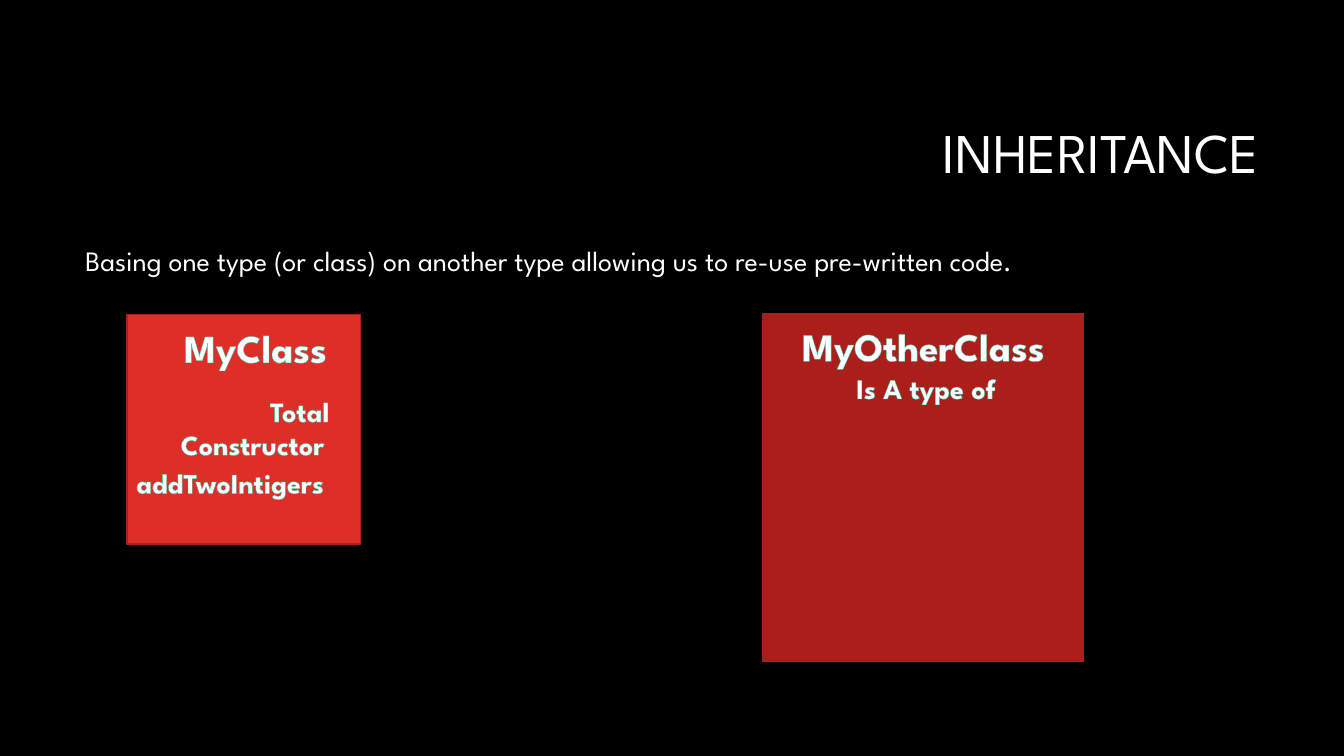
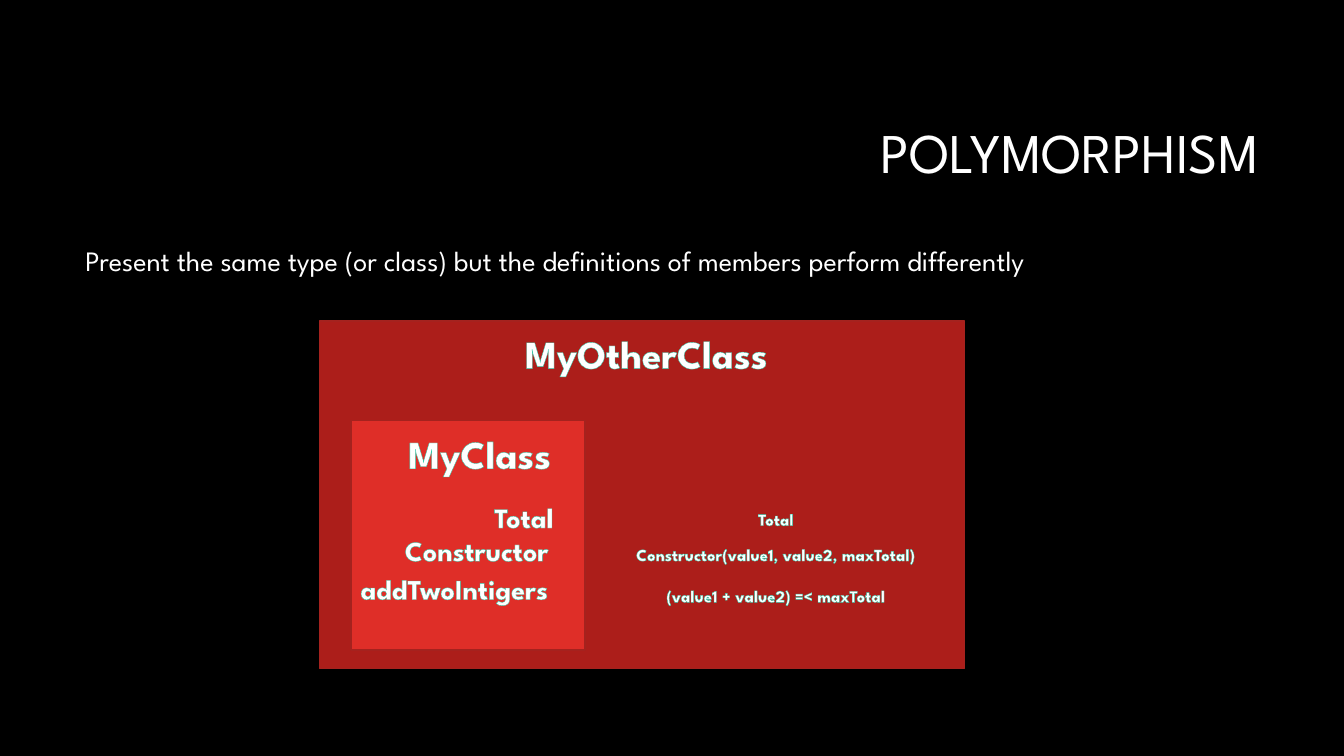
import lxml.etree
import pptx
import pptx.dml.color
import pptx.enum.shapes
import pptx.enum.text
import pptx.oxml.ns
import pptx.util

Pt = pptx.util.Pt
ALIGN = pptx.enum.text.PP_ALIGN
ANCHOR = pptx.enum.text.MSO_ANCHOR
FONT = "League Spartan"
COLORS = {
    "background": "000000",
    "text": "FFFFFF",
    "base": "DF2E28",
    "derived": "AC1E1A",
    "border": "A5221E",
    "outline": "32C7A9",
}
BASE_SIZE = (167, 164)
NAME_SIZE, MEMBER_SIZE, DETAIL_SIZE = 28, 20, 12
LABEL_HEIGHTS = {NAME_SIZE: 41.2, MEMBER_SIZE: 31.5, DETAIL_SIZE: 21.8}


def rgb(name):
    """Return the palette colour with this name."""
    return pptx.dml.color.RGBColor.from_string(COLORS[name])


def add_text(shapes, box, text, size, align=ALIGN.LEFT, anchor=ANCHOR.TOP):
    """Add a one-paragraph text box and return it."""
    shape = shapes.add_textbox(*map(Pt, box))
    frame = shape.text_frame
    frame.word_wrap = True
    frame.vertical_anchor = anchor
    paragraph = frame.paragraphs[0]
    paragraph.text = text
    paragraph.alignment = align
    paragraph.font.name = FONT
    paragraph.font.size = Pt(size)
    paragraph.font.color.rgb = rgb("text")
    return shape


def add_label(shapes, left, top, width, text, size):
    """Add a bold, centred label with outlined letters."""
    box = (left, top, width, LABEL_HEIGHTS[size])
    shape = add_text(shapes, box, text, size, ALIGN.CENTER)
    shape.text_frame.auto_size = pptx.enum.text.MSO_AUTO_SIZE.SHAPE_TO_FIT_TEXT
    paragraph = shape.text_frame.paragraphs[0]
    paragraph.font.bold = True
    qn = pptx.oxml.ns.qn
    properties = paragraph.runs[0].font._element
    line = lxml.etree.Element(qn("a:ln"), w=str(Pt(0.8)))
    fill = lxml.etree.SubElement(line, qn("a:solidFill"))
    lxml.etree.SubElement(fill, qn("a:srgbClr"), val=COLORS["outline"])
    properties.insert(0, line)


def add_panel(shapes, box, color):
    """Add a filled rectangle with a thin border."""
    shape = shapes.add_shape(pptx.enum.shapes.MSO_SHAPE.RECTANGLE, *map(Pt, box))
    shape.shadow.inherit = False
    shape.fill.solid()
    shape.fill.fore_color.rgb = rgb(color)
    shape.line.color.rgb = rgb("border")
    shape.line.width = Pt(1)


def add_base_class(slide, left, top):
    """Add the grouped base class with its members."""
    shapes = slide.shapes.add_group_shape().shapes
    add_panel(shapes, (left, top, *BASE_SIZE), "base")
    for x, y, width, text, size in (
        (24.5, 3, 134.5, "MyClass", NAME_SIZE),
        (90.3, 53.3, 66.2, "Total", MEMBER_SIZE),
        (20.2, 77, 139, "Constructor", MEMBER_SIZE),
        (-12.2, 104.4, 172, "addTwoIntigers", MEMBER_SIZE),
    ):
        add_label(shapes, left + x, top + y, width, text, size)


def add_derived_class(slide, box, name_shift=0):
    """Add the derived class panel with its name near the top centre."""
    left, top, width, height = box
    name_width = 210
    add_panel(slide.shapes, box, "derived")
    name_left = left + (width - name_width) / 2 + name_shift
    add_label(slide.shapes, name_left, top + 2.5, name_width, "MyOtherClass", NAME_SIZE)


def add_topic_slide(presentation, title, definition):
    """Add a slide with its title and definition."""
    slide = presentation.slides.add_slide(presentation.slide_layouts[6])
    title_box = (228.2, 60.5, 678.2, 101.5)
    heading = add_text(slide.shapes, title_box, title, 40, ALIGN.RIGHT, ANCHOR.MIDDLE)
    body = add_text(slide.shapes, (54, 172.8, 851.8, 40), definition, 20)
    for shape in (heading, body):
        shape.text_frame.paragraphs[0].line_spacing = 0.9
    return slide


def add_inheritance(presentation):
    """Build the slide with the two classes side by side."""
    slide = add_topic_slide(
        presentation,
        "INHERITANCE",
        "Basing one type (or class) on another type allowing us to re-use pre-written code.",
    )
    left, top = 545, 224
    add_derived_class(slide, (left, top, 229, 248.4))
    add_base_class(slide, 90.7, 224.6)
    add_label(slide.shapes, left + 11.5, top + 37.4, 210, "Is A type of", MEMBER_SIZE)


def add_polymorphism(presentation):
    """Build the slide with the base class inside the derived class."""
    slide = add_topic_slide(
        presentation,
        "POLYMORPHISM",
        "Present the same type (or class) but the definitions of members perform differently",
    )
    left, top = 228.2, 229.3
    add_derived_class(slide, (left, top, 460.8, 248.4), 3)
    add_base_class(slide, left + 22.6, top + 71)
    for y, text in (
        (130.7, "Total"),
        (155.9, "Constructor(value1, value2, maxTotal)"),
        (185.4, "(value1 + value2) =< maxTotal"),
    ):
        add_label(slide.shapes, left + 201.5, top + y, 249, text, DETAIL_SIZE)


def main():
    """Build and save the presentation."""
    presentation = pptx.Presentation()
    presentation.slide_width = Pt(960)
    presentation.slide_height = Pt(540)
    background = presentation.slide_master.background.fill
    background.solid()
    background.fore_color.rgb = rgb("background")
    add_inheritance(presentation)
    add_polymorphism(presentation)
    presentation.save("out.pptx")


if __name__ == "__main__":
    main()
